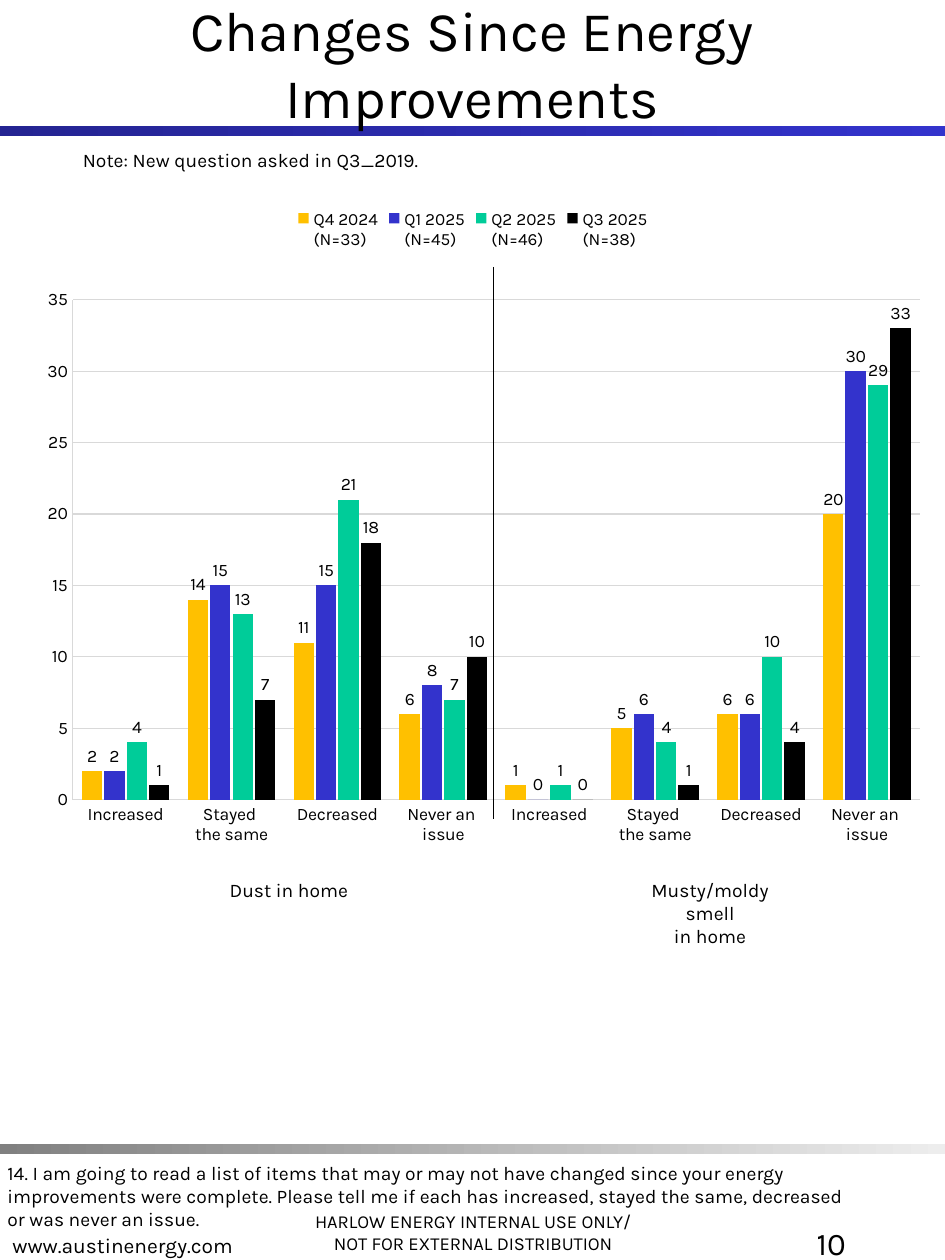
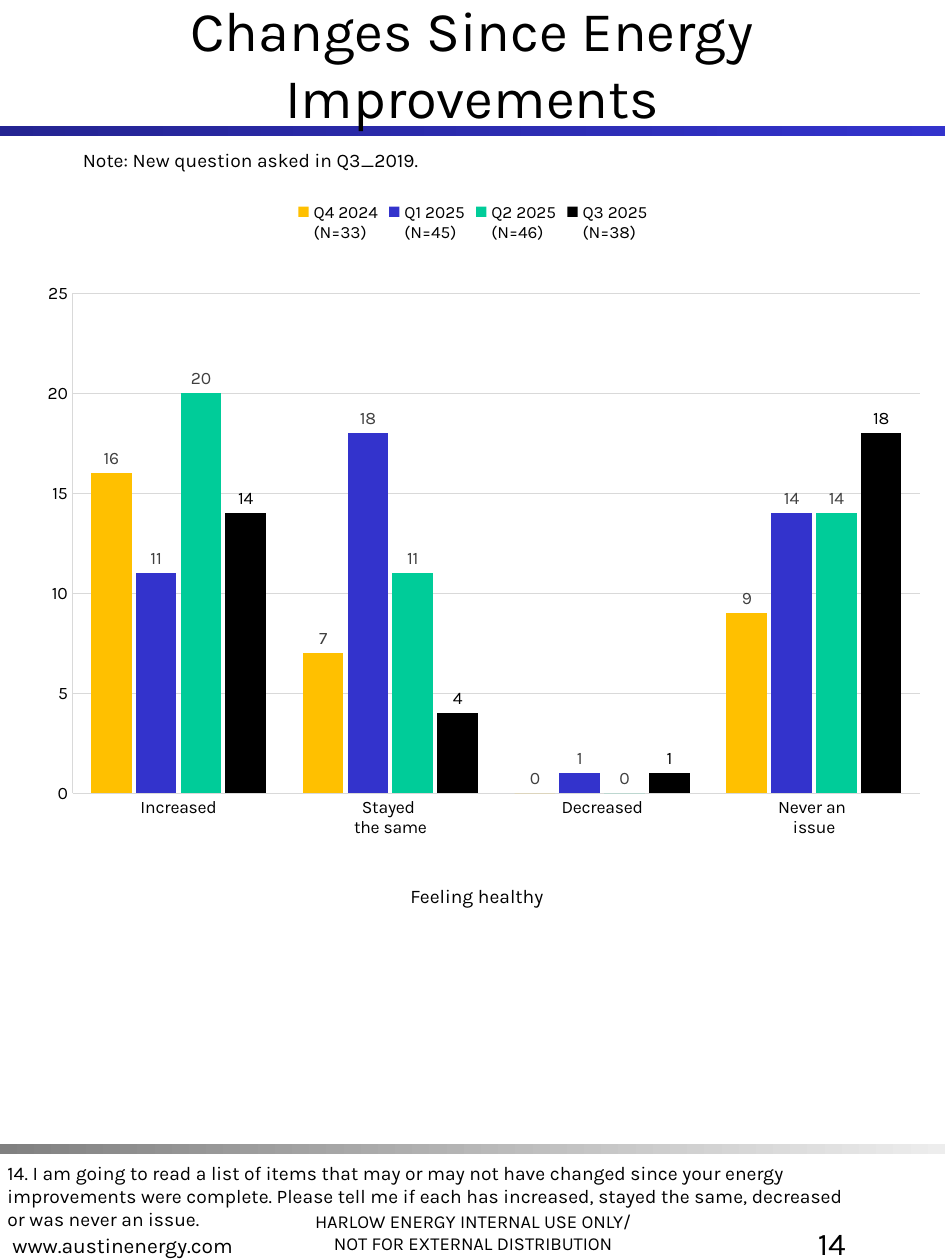
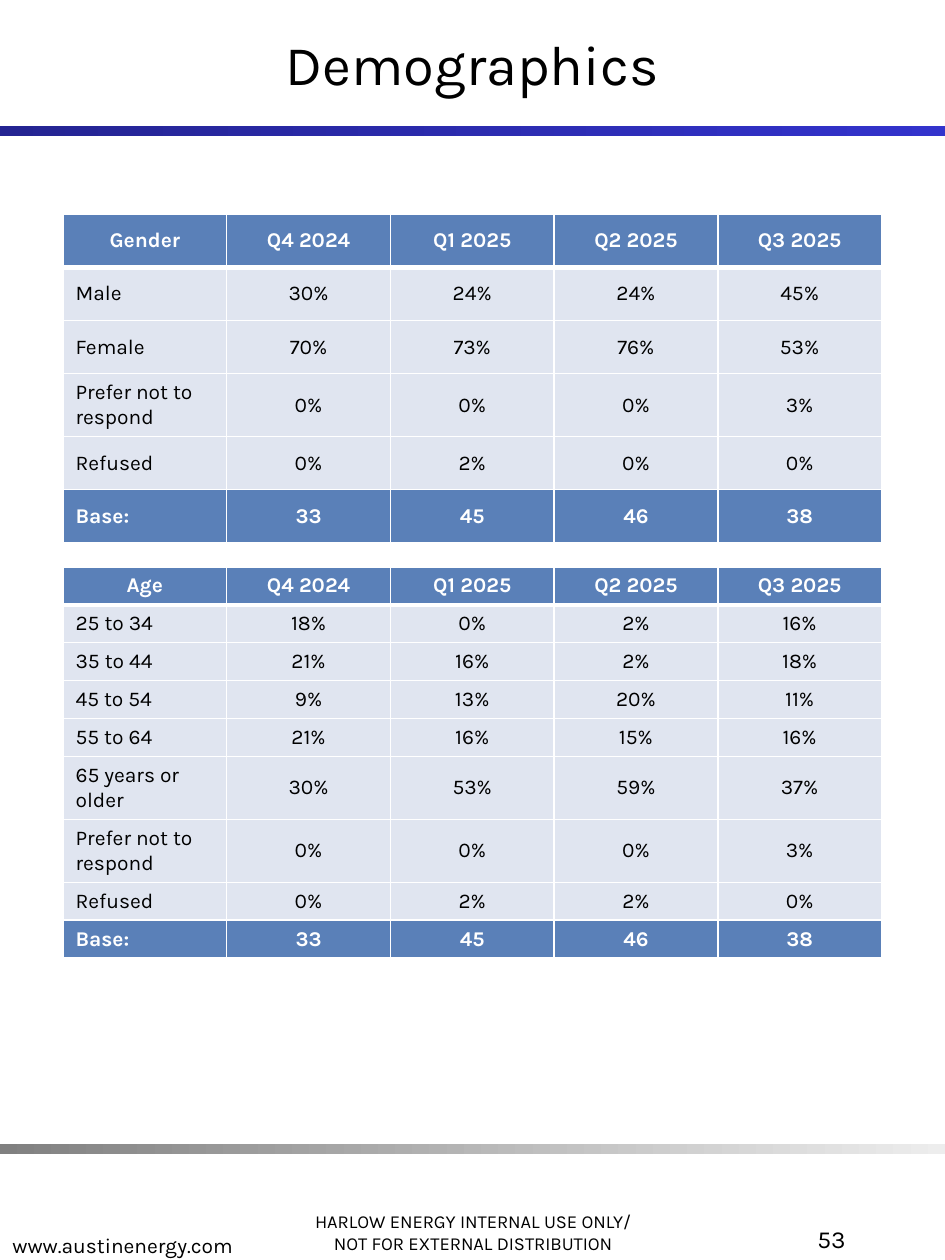
import pptx
import pptx.util
import pptx.chart.data
import pptx.dml.color
import pptx.enum.chart
import pptx.enum.shapes
import pptx.enum.text
import pptx.oxml
import pptx.oxml.ns

Cm, Pt = pptx.util.Cm, pptx.util.Pt
ALIGN = pptx.enum.text.PP_ALIGN
ANCHOR = pptx.enum.text.MSO_ANCHOR
FONT = "Karla"
BLACK, WHITE, GRID, DARK = "000000", "FFFFFF", "D9D9D9", "404040"
HEAD, BODY = "5A80B8", "E0E5F0"
WIDE, TALL = 19.05, 25.4

BANDS = [(2.54, "242492", "3333CC"), (23.06, "808080", "EDEDED")]
FOOT = "HARLOW ENERGY INTERNAL USE ONLY/\nNOT FOR EXTERNAL DISTRIBUTION"
SITE = "www.austinenergy.com"
TITLE = "Changes Since Energy Improvements"
NOTE = "Note: New question asked in Q3_2019."
ASK = ("14. I am going to read a list of items that may or may not have changed "
       "since your energy improvements were complete. Please tell me if each has "
       "increased, stayed the same, decreased or was never an issue.")

TERMS = ["Q4 2024", "Q1 2025", "Q2 2025", "Q3 2025"]
BASES = [33, 45, 46, 38]
TINTS = ["FFC000", "3333CC", "00CC99", BLACK]
CATS = ["Increased", "Stayed \nthe same", "Decreased", "Never an \nissue"]

CHARTS = [
    {"page": "10", "top": 3.94, "ink": [BLACK] * 4, "split": True,
     "topics": [("Dust in home", 4.01, 17.58),
                ("Musty/moldy smell\nin home", 12.5, 17.58)],
     "rows": [[2, 14, 11, 6, 1, 5, 6, 20],
              [2, 15, 15, 8, 0, 6, 6, 30],
              [4, 13, 21, 7, 1, 4, 10, 29],
              [1, 7, 18, 10, 0, 1, 4, 33]]},
    {"page": "14", "top": 3.81, "ink": [DARK] * 3 + [BLACK], "split": False,
     "topics": [("Feeling healthy", 7.8, 17.7)],
     "rows": [[16, 7, 0, 9],
              [11, 18, 1, 14],
              [20, 11, 0, 14],
              [14, 4, 1, 18]]},
]

TABLES = [
    {"name": "Gender", "top": 4.32, "step": 1.07, "rows": [
        ("Male", 30, 24, 24, 45),
        ("Female", 70, 73, 76, 53),
        ("Prefer not to respond", 0, 0, 0, 3),
        ("Refused", 0, 2, 0, 0)]},
    {"name": "Age", "top": 11.43, "step": 0.71, "rows": [
        ("25 to 34", 18, 0, 2, 16),
        ("35 to 44", 21, 16, 2, 18),
        ("45 to 54", 9, 13, 20, 11),
        ("55 to 64", 21, 16, 15, 16),
        ("65 years or older", 30, 53, 59, 37),
        ("Prefer not to respond", 0, 0, 0, 3),
        ("Refused", 0, 2, 2, 0)]},
]


def paint(code):
    return pptx.dml.color.RGBColor.from_string(code)


def style(font, size, ink=BLACK, bold=False):
    font.name, font.size, font.bold = FONT, Pt(size), bold
    font.color.rgb = paint(ink)


def write(frame, text, size, ink=BLACK, align=ALIGN.LEFT, bold=False):
    for num, line in enumerate(text.split("\n")):
        para = frame.add_paragraph() if num else frame.paragraphs[0]
        para.alignment = align
        run = para.add_run()
        run.text = line
        style(run.font, size, ink, bold)


def label(slide, text, box, size, align=ALIGN.LEFT, anchor=ANCHOR.TOP, wrap=True):
    frame = slide.shapes.add_textbox(*map(Cm, box)).text_frame
    frame.word_wrap = wrap
    frame.vertical_anchor = anchor
    write(frame, text, size, align=align)


def start(deck, title, page, size):
    slide = deck.slides.add_slide(deck.slide_layouts[6])
    for top, left, right in BANDS:
        band = slide.shapes.add_shape(pptx.enum.shapes.MSO_SHAPE.RECTANGLE,
                                      0, Cm(top), Cm(WIDE), Cm(0.2))
        band.shadow.inherit = False
        band.line.fill.background()
        band.fill.gradient()
        band.fill.gradient_angle = 0
        for stop, place, code in zip(band.fill.gradient_stops, (0, 1), (left, right)):
            stop.position = place
            stop.color.rgb = paint(code)
    label(slide, FOOT, (5.49, 23.7, 8.1, 1.7), 10.5, ALIGN.CENTER, ANCHOR.BOTTOM)
    label(slide, SITE, (0, 23.77, 8.1, 1.7), 12, anchor=ANCHOR.BOTTOM)
    label(slide, title, (0, 0, WIDE, 2.54), 32, ALIGN.CENTER, ANCHOR.MIDDLE)
    label(slide, page, (13.34, 24.56, 3.96, 1.7), size, ALIGN.RIGHT)
    return slide


def trace(line, code, width):
    line.color.rgb = paint(code)
    line.width = Pt(width)


def set_plot(chart, box):
    area = chart._chartSpace.chart.plotArea
    for old in area.findall(pptx.oxml.ns.qn("c:layout")):
        area.remove(old)
    parts = "".join(f'<c:{tag}Mode val="edge"/>' for tag in "xy")
    parts += "".join(f'<c:{tag} val="{num}"/>' for tag, num in zip("xywh", box))
    area.insert(0, pptx.oxml.parse_xml(
        f'<c:layout {pptx.oxml.ns.nsdecls("c")}><c:manualLayout>'
        f'<c:layoutTarget val="inner"/>{parts}</c:manualLayout></c:layout>'))


def add_bars(slide, part):
    data = pptx.chart.data.CategoryChartData()
    data.categories = CATS * (len(part["rows"][0]) // len(CATS))
    for term, base, row in zip(TERMS, BASES, part["rows"]):
        data.add_series(f"{term}\n(N={base})", row)
    kinds = pptx.enum.chart
    chart = slide.shapes.add_chart(kinds.XL_CHART_TYPE.COLUMN_CLUSTERED, Cm(0.15),
                                   Cm(part["top"]), Cm(18.77), Cm(15.04), data).chart
    style(chart.font, 10)
    chart.has_title = False
    chart.has_legend = True
    chart.legend.position = kinds.XL_LEGEND_POSITION.TOP
    chart.legend.include_in_layout = False
    style(chart.legend.font, 9.8)
    for axis, width in ((chart.category_axis, 0.62), (chart.value_axis, 0.41)):
        axis.major_tick_mark = axis.minor_tick_mark = kinds.XL_TICK_MARK.NONE
        style(axis.tick_labels.font, 10)
        trace(axis.format.line, GRID, width)
    chart.value_axis.minimum_scale = 0
    trace(chart.value_axis.major_gridlines.format.line, GRID, 0.62)
    plot = chart.plots[0]
    plot.gap_width, plot.overlap, plot.vary_by_categories = 90, -10, False
    for bar, tint, ink in zip(plot.series, TINTS, part["ink"]):
        bar.format.fill.solid()
        bar.format.fill.fore_color.rgb = paint(tint)
        tags = bar.data_labels
        tags.show_value = True
        tags.position = kinds.XL_LABEL_POSITION.OUTSIDE_END
        style(tags.font, 10, ink)
    set_plot(chart, (0.07, 0.14, 0.91, 0.67))


def add_split(slide):
    line = slide.shapes.add_connector(pptx.enum.shapes.MSO_CONNECTOR.STRAIGHT,
                                      Cm(9.95), Cm(5.38), Cm(9.95), Cm(16.51))
    trace(line.line, BLACK, 0.25)
    line._element.spPr.append(pptx.oxml.parse_xml(
        f'<a:effectLst {pptx.oxml.ns.nsdecls("a")}/>'))


def edge(cell, above, below):
    props = cell._tc.get_or_add_tcPr()
    for side, width in (("L", 1), ("R", 1), ("T", above), ("B", below)):
        props.append(pptx.oxml.parse_xml(
            f'<a:ln{side} {pptx.oxml.ns.nsdecls("a")} w="{Pt(width)}"><a:solidFill>'
            f'<a:srgbClr val="{WHITE}"/></a:solidFill></a:ln{side}>'))


def add_grid(slide, part):
    rows = [[part["name"], *TERMS]]
    rows += [[name, *(f"{num}%" for num in nums)] for name, *nums in part["rows"]]
    rows.append(["Base:", *map(str, BASES)])
    table = slide.shapes.add_table(len(rows), 5, Cm(1.27), Cm(part["top"]), Cm(16.5),
                                   Cm(part["step"] * len(rows))).table
    table.first_row = table.horz_banding = False
    for col in table.columns:
        col.width = Cm(3.3)
    for down, row in enumerate(rows):
        table.rows[down].height = Cm(part["step"])
        strong = down in (0, len(rows) - 1)
        for across, text in enumerate(row):
            cell = table.cell(down, across)
            edge(cell, 3 if down == 1 else 1, 3 if down == 0 else 1)
            cell.fill.solid()
            cell.fill.fore_color.rgb = paint(HEAD if strong else BODY)
            cell.vertical_anchor = ANCHOR.MIDDLE
            align = ALIGN.CENTER if across or not down else ALIGN.LEFT
            write(cell.text_frame, text, 12, WHITE if strong else BLACK, align, strong)


def main():
    deck = pptx.Presentation()
    deck.slide_width, deck.slide_height = Cm(WIDE), Cm(TALL)
    for part in CHARTS:
        slide = start(deck, TITLE, part["page"], 18)
        label(slide, NOTE, (1.42, 2.87, 16.36, 0.74), 11)
        label(slide, ASK, (-0.1, 23.29, 17.4, 1.68), 11)
        add_bars(slide, part)
        for text, left, top in part["topics"]:
            label(slide, text, (left, top, 3.63, 0.74), 11, ALIGN.CENTER, wrap=False)
        if part["split"]:
            add_split(slide)
    slide = start(deck, "Demographics", "53", 14)
    for part in TABLES:
        add_grid(slide, part)
    deck.save("out.pptx")


if __name__ == "__main__":
    main()
